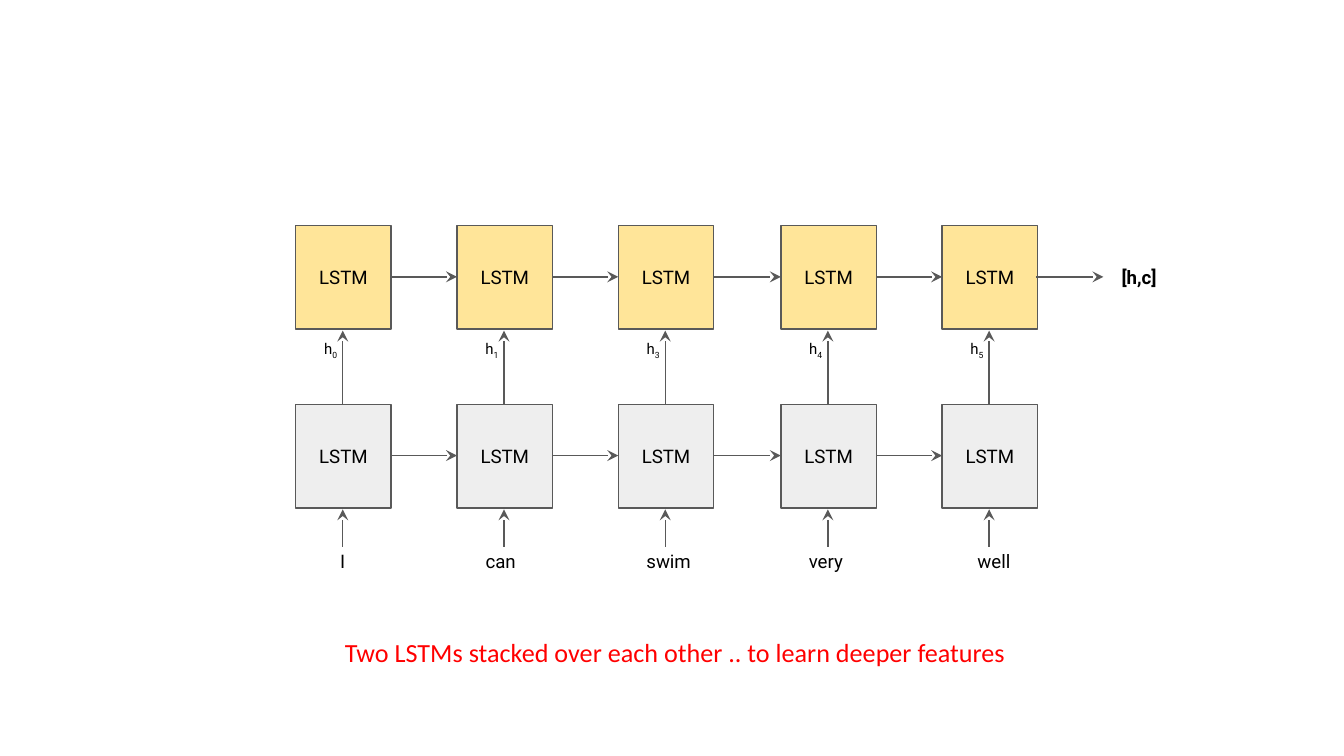
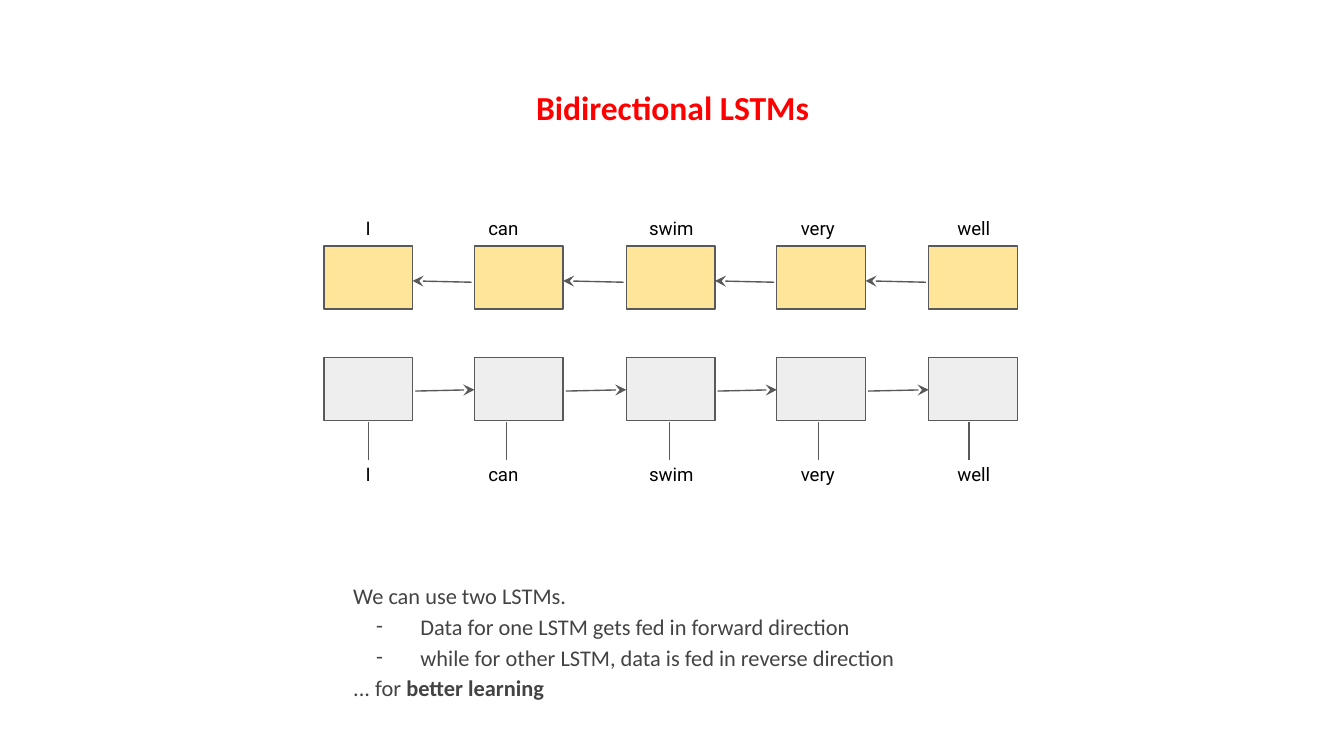
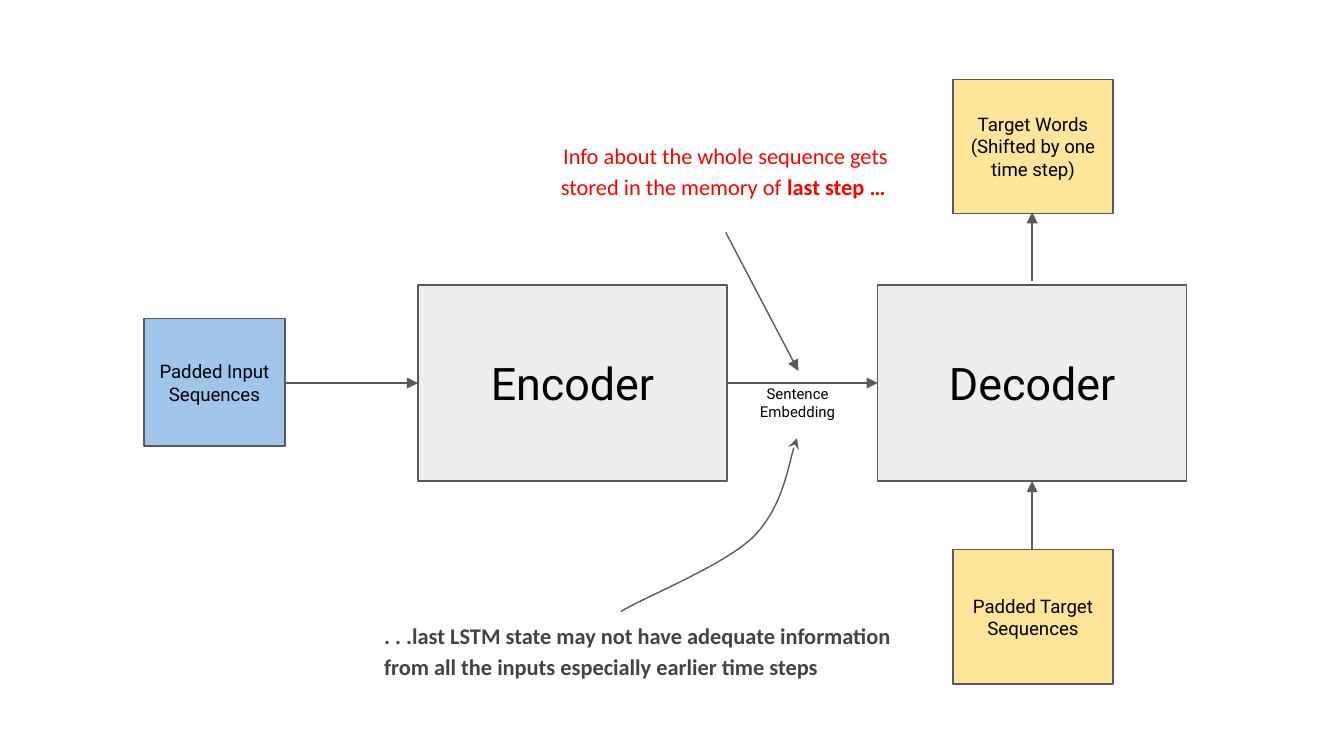
import dataclasses
import typing

import lxml.etree
import pptx
import pptx.dml.color
import pptx.enum.shapes
import pptx.enum.text
import pptx.oxml.ns
import pptx.util

PX = 9144  # EMU per px, 100 px to the inch
qn = pptx.oxml.ns.qn
MIDDLE = pptx.enum.text.MSO_ANCHOR.MIDDLE
TOP = pptx.enum.text.MSO_ANCHOR.TOP
CENTER = pptx.enum.text.PP_ALIGN.CENTER
LEFT = pptx.enum.text.PP_ALIGN.LEFT


# Theme: colours, fonts and type sizes
@dataclasses.dataclass(frozen=True)
class Theme:
    gray: str = "EEEEEE"
    yellow: str = "FFE599"
    blue: str = "9FC5E8"
    outline: str = "595959"
    black: str = "000000"
    red: str = "FF0000"
    body: str = "434343"
    diagram_font: str = "Roboto"
    text_font: str = "Calibri"
    small: int = 8
    label: int = 10
    note: int = 12
    caption: int = 14
    title: int = 18
    block: int = 24
    line_width: float = 0.75
    line_spacing: float = 1.15
    inset: int = 10


THEME = Theme()


# Records for the repeated elements
class Area(typing.NamedTuple):
    left: int
    top: int
    width: int
    height: int


class Point(typing.NamedTuple):
    x: int
    y: int


class Run(typing.NamedTuple):
    text: str
    bold: bool = False
    subscript: bool = False


class Line(typing.NamedTuple):
    runs: tuple[Run, ...]
    bullet: bool = False


class Style(typing.NamedTuple):
    size: int
    font: str = THEME.diagram_font
    color: str = THEME.black
    bold: bool = False
    align: typing.Any = CENTER
    anchor: typing.Any = MIDDLE
    spacing: float | None = None


class Curve(typing.NamedTuple):
    first_control: Point
    second_control: Point
    end: Point


class Word(typing.NamedTuple):
    text: str
    left: int
    width: int = 75


LABEL = Style(THEME.label)
SMALL = Style(THEME.small)
BLOCK = Style(THEME.block)
NOTE = Style(THEME.note, THEME.text_font, THEME.body, align=LEFT, spacing=THEME.line_spacing)


def rgb(color: str) -> pptx.dml.color.RGBColor:
    return pptx.dml.color.RGBColor.from_string(color)


def plain(text: str) -> list[Line]:
    return [Line((Run(text),))]


def columns(start: int, pitch: float, count: int = 5) -> list[int]:
    return [start + round(pitch * index) for index in range(count)]


# Text
def add_bullet(paragraph, style: Style) -> None:
    properties = paragraph._p.get_or_add_pPr()
    properties.set("marL", str(50 * PX))
    properties.set("indent", str(-33 * PX))
    bullet_color = lxml.etree.SubElement(properties, qn("a:buClr"))
    lxml.etree.SubElement(bullet_color, qn("a:srgbClr"), val=style.color)
    lxml.etree.SubElement(properties, qn("a:buSzPts"), val=str(style.size * 100))
    lxml.etree.SubElement(properties, qn("a:buFont"), typeface=style.font)
    lxml.etree.SubElement(properties, qn("a:buChar"), char="-")


def write(shape, lines: list[Line], style: Style) -> None:
    frame = shape.text_frame
    frame.word_wrap = True
    frame.vertical_anchor = style.anchor
    frame.margin_left = frame.margin_right = THEME.inset * PX
    frame.margin_top = frame.margin_bottom = THEME.inset * PX
    for index, line in enumerate(lines):
        paragraph = frame.add_paragraph() if index else frame.paragraphs[0]
        paragraph.alignment = style.align
        if style.spacing:
            paragraph.line_spacing = style.spacing
        if line.bullet:
            add_bullet(paragraph, style)
        paragraph.font.size = pptx.util.Pt(style.size)
        paragraph.font.name = style.font
        paragraph.font.bold = style.bold
        paragraph.font.color.rgb = rgb(style.color)
        for part in line.runs:
            run = paragraph.add_run()
            run.text = part.text
            if part.bold:
                run.font.bold = True
            if part.subscript:
                run._r.get_or_add_rPr().set("baseline", "-25000")


def add_text(slide, area: Area, lines: list[Line], style: Style) -> None:
    write(slide.shapes.add_textbox(*(PX * value for value in area)), lines, style)


# Boxes and lines
def outline(shape, head: str = "", tail: str = "") -> None:
    shape.line.color.rgb = rgb(THEME.outline)
    shape.line.width = pptx.util.Pt(THEME.line_width)
    for tag, kind in (("a:headEnd", head), ("a:tailEnd", tail)):
        if kind:
            lxml.etree.SubElement(shape.line._get_or_add_ln(), qn(tag), type=kind)


def add_box(slide, area: Area, fill: str, text: str = "", style: Style = LABEL) -> None:
    box = slide.shapes.add_shape(
        pptx.enum.shapes.MSO_SHAPE.RECTANGLE, *(PX * value for value in area))
    box.shadow.inherit = False
    box.fill.solid()
    box.fill.fore_color.rgb = rgb(fill)
    outline(box)
    if text:
        write(box, plain(text), style)


def add_line(slide, start: Point, end: Point, head: str = "", tail: str = "") -> None:
    connector = slide.shapes.add_connector(
        pptx.enum.shapes.MSO_CONNECTOR.STRAIGHT,
        start.x * PX, start.y * PX, end.x * PX, end.y * PX)
    outline(connector, head, tail)
    lxml.etree.SubElement(connector._element.spPr, qn("a:effectLst"))


def add_curve(slide, start: Point, curves: list[Curve]) -> None:
    builder = slide.shapes.build_freeform(start.x, start.y, scale=PX)
    builder.add_line_segments([curve.end for curve in curves], close=False)
    shape = builder.convert_to_shape()
    shape.shadow.inherit = False
    shape.fill.background()
    outline(shape, tail="stealth")
    # Turn each straight segment into a cubic one
    left = min(start.x, *(curve.end.x for curve in curves))
    top = min(start.y, *(curve.end.y for curve in curves))
    segments = list(shape._element.iter(qn("a:lnTo")))
    for segment, curve in zip(segments, curves):
        segment.tag = qn("a:cubicBezTo")
        for position, control in enumerate(curve[:2]):
            point = lxml.etree.Element(
                qn("a:pt"), x=str(control.x - left), y=str(control.y - top))
            segment.insert(position, point)


def add_words(slide, words: list[Word], top: int) -> None:
    for word in words:
        add_text(slide, Area(word.left, top, word.width, 21), plain(word.text), LABEL)


# Slide 1: stacked LSTMs
def build_stacked(slide) -> None:
    lefts = columns(220, 120.25)
    width, height, upper, lower = 71, 77, 168, 301
    for top, fill in ((lower, THEME.gray), (upper, THEME.yellow)):
        for left in lefts:
            add_box(slide, Area(left, top, width, height), fill, "LSTM")
        for left, following in zip(lefts, lefts[1:]):
            add_line(slide, Point(left + width, top + 38), Point(following, top + 38),
                     tail="stealth")
    for left, step in zip(lefts, "01345"):
        middle = left + 35
        add_line(slide, Point(middle, lower), Point(middle, 273))
        add_line(slide, Point(middle, 274), Point(middle, 246), tail="stealth")
        add_line(slide, Point(middle, 407), Point(middle, 379), tail="stealth")
        add_text(slide, Area(left + 5, 250, 42, 21),
                 [Line((Run("h"), Run(step, subscript=True)))], SMALL)
    add_words(slide, [Word("I", 234, 42), Word("can", 335), Word("swim", 460),
                      Word("very", 577), Word("well", 702)], 407)
    add_line(slide, Point(771, 206), Point(821, 206), tail="stealth")
    add_text(slide, Area(812, 192, 71, 28), plain("[h,c]"), Style(THEME.label, bold=True))
    add_text(slide, Area(155, 466, 695, 38),
             plain("Two LSTMs stacked over each other .. to learn deeper features"),
             Style(THEME.caption, THEME.text_font, THEME.red))


# Slide 2: bidirectional LSTMs
def build_bidirectional(slide) -> None:
    lefts = columns(241, 112.4)
    width, height, upper, lower = 66, 47, 183, 266
    for top, fill in ((lower, THEME.gray), (upper, THEME.yellow)):
        for left in lefts:
            add_box(slide, Area(left, top, width, height), fill)
    for left, following in zip(lefts, lefts[1:]):
        right = left + width
        add_line(slide, Point(right + 2, 291), Point(following, 290), tail="stealth")
        add_line(slide, Point(right, 209), Point(following - 2, 210), head="stealth")
    for middle in (274, 377, 498, 609, 721):
        add_line(slide, Point(middle, 342), Point(middle, 314))
    words = [Word("I", 253, 42), Word("can", 337), Word("swim", 462),
             Word("very", 571), Word("well", 687)]
    for top in (342, 159):
        add_words(slide, words, top)
    add_text(slide, Area(366, 61, 269, 38), plain("Bidirectional LSTMs"),
             Style(THEME.title, THEME.text_font, THEME.red, bold=True))
    add_text(slide, Area(253, 428, 551, 96), [
        Line((Run("We can use two LSTMs."),)),
        Line((Run("Data for one LSTM gets fed in forward direction"),), bullet=True),
        Line((Run("while for other LSTM, data is fed in reverse direction"),), bullet=True),
        Line((Run("... for "), Run("better learning", bold=True))),
    ], NOTE)


# Slide 3: encoder and decoder
def build_encoder_decoder(slide) -> None:
    for left, name in ((311, "Encoder"), (653, "Decoder")):
        add_box(slide, Area(left, 212, 230, 146), THEME.gray, name, BLOCK)
    add_box(slide, Area(107, 237, 105, 95), THEME.blue, "Padded Input Sequences")
    for top, text in ((409, "Padded Target Sequences"),
                      (59, "Target Words (Shifted by one time step)")):
        add_box(slide, Area(709, top, 119, 100), THEME.yellow, text)
    for start, end in (
        (Point(541, 285), Point(653, 285)),
        (Point(211, 285), Point(311, 285)),
        (Point(768, 409), Point(768, 358)),
        (Point(768, 209), Point(768, 158)),
        (Point(540, 173), Point(594, 276)),
    ):
        add_line(slide, start, end, tail="triangle")
    add_text(slide, Area(541, 276, 105, 51), plain("Sentence Embedding"),
             SMALL._replace(anchor=TOP))
    add_text(slide, Area(389, 78, 302, 95), [Line((
        Run("Info about the whole sequence gets stored in the memory of "),
        Run("last step … ", bold=True),
    ))], NOTE._replace(color=THEME.red, align=CENTER))
    add_curve(slide, Point(462, 455), [
        Curve(Point(478, 445), Point(538, 421), Point(560, 400)),
        Curve(Point(582, 378), Point(588, 338), Point(593, 326)),
    ])
    add_text(slide, Area(276, 450, 415, 72),
             plain(". . .last LSTM state may not have adequate information "
                   "from all the inputs especially earlier time steps"),
             NOTE._replace(bold=True, anchor=TOP))


def main() -> None:
    presentation = pptx.Presentation()
    presentation.slide_width = 1000 * PX
    presentation.slide_height = presentation.slide_width * 9 // 16
    blank = presentation.slide_layouts[6]
    for build in (build_stacked, build_bidirectional, build_encoder_decoder):
        build(presentation.slides.add_slide(blank))
    presentation.save("out.pptx")


if __name__ == "__main__":
    main()
